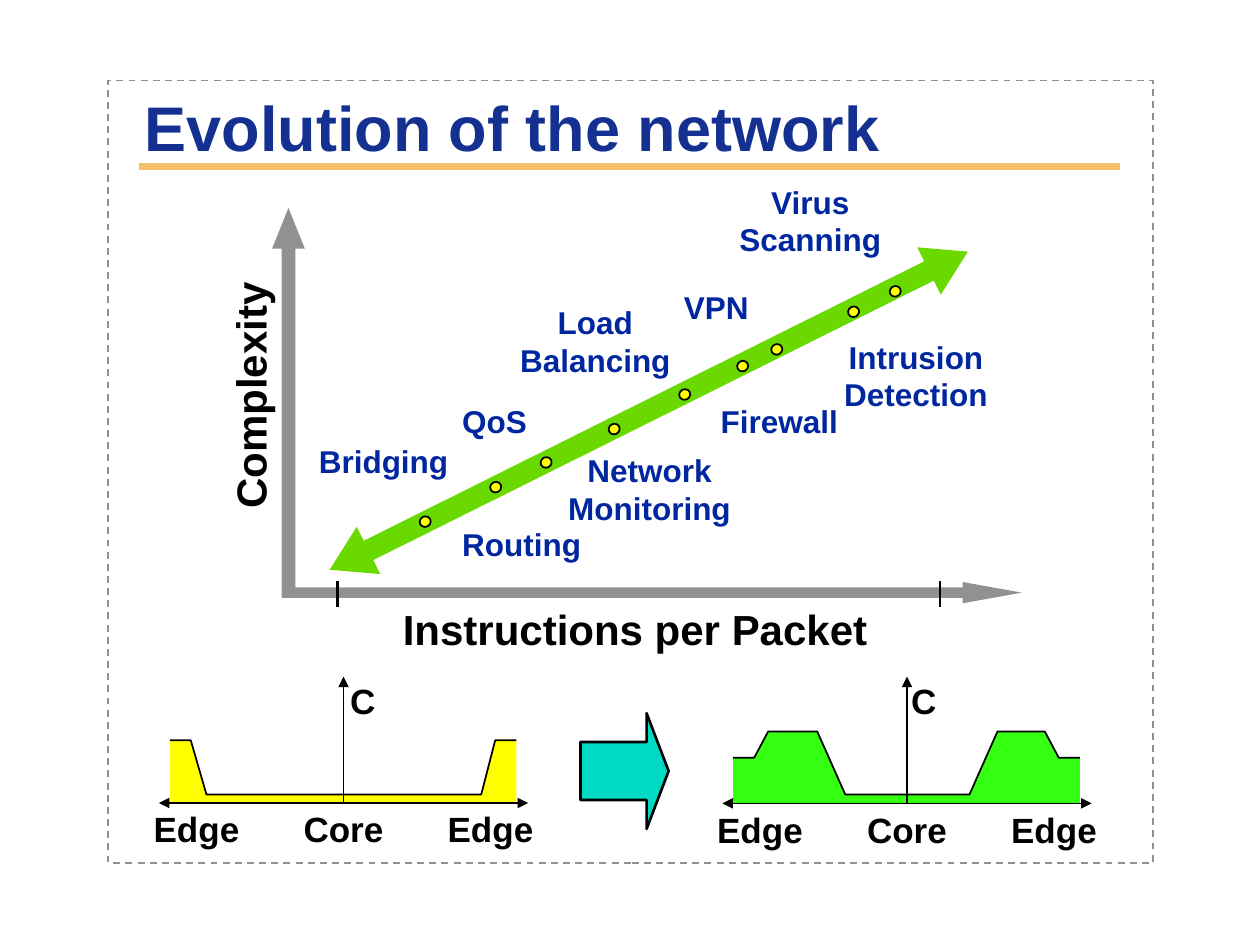
from lxml import etree
from pptx import Presentation
from pptx import util as u
from pptx.dml.color import RGBColor
from pptx.enum import dml, shapes, text
from pptx.oxml import ns

Pt = u.Pt
GREY, NAVY, BLACK, YELLOW = "919191", "00279F", "000000", "FFFF00"
LABELS = [
    (("Virus", "Scanning"), 308, 0.8),
    (("Bridging",), 64.2, 149.1),
    (("Routing",), 143.1, 196.6),
    (("QoS",), 127.6, 126.1),
    (("Network", "Monitoring"), 216.2, 154.2),
    (("Firewall",), 290.3, 126.1),
    (("VPN",), 254.3, 61.3),
    (("Intrusion", "Detection"), 368.4, 89.4),
    (("Load", "Balancing"), 185.2, 69.9),
]
SERVICE_XS = [88, 128.3, 157.1, 196, 236.3, 269.4, 288.9, 332.8, 356.6]
OLD_PROFILE = [(99, 36), (87, 36), (78.5, 5), (0, 5)]
NEW_PROFILE = [(99, 25.9), (87, 25.9), (79, 41.6), (51.5, 41.6), (35.5, 5), (0, 5)]


def colour(value):
    return RGBColor.from_string(value)


def paint(part, fill=None, line=None, width=1):
    part.shadow.inherit = False
    if fill:
        part.fill.solid()
        part.fill.fore_color.rgb = colour(fill)
    else:
        part.fill.background()
    if line:
        part.line.color.rgb = colour(line)
        part.line.width = Pt(width)
    else:
        part.line.fill.background()


def add_preset(slide, kind, box, fill=None, line=None, width=1, adjust=(), turn=0):
    part = slide.shapes.add_shape(kind, *map(Pt, box))
    for index, value in enumerate(adjust):
        part.adjustments[index] = value
    part.rotation = turn
    paint(part, fill, line, width)
    return part


def add_line(slide, start, end, value=BLACK, width=1, arrows=()):
    line = slide.shapes.add_connector(
        shapes.MSO_CONNECTOR.STRAIGHT, *map(Pt, (*start, *end)))
    line.line.color.rgb = colour(value)
    line.line.width = Pt(width)
    for end_name in arrows:
        etree.SubElement(line.line._get_or_add_ln(), ns.qn(f"a:{end_name}"), type="triangle")
    etree.SubElement(line._element.spPr, ns.qn("a:effectLst"))


def add_path(slide, points, fill=None, line=None):
    builder = slide.shapes.build_freeform(*points[0], scale=Pt(1))
    builder.add_line_segments(points[1:], close=bool(fill))
    paint(builder.convert_to_shape(), fill, line)


def add_text(slide, lines, box, size, value, align=text.PP_ALIGN.CENTER,
             indent=7.2, turn=0):
    holder = slide.shapes.add_textbox(*map(Pt, box))
    holder.rotation = turn
    frame = holder.text_frame
    settings = {
        "word_wrap": False,
        "margin_left": Pt(indent),
        "margin_right": Pt(7.2),
        "margin_top": Pt(3.6),
        "margin_bottom": 0,
        "vertical_anchor": text.MSO_ANCHOR.TOP,
    }
    for name, setting in settings.items():
        setattr(frame, name, setting)
    for index, words in enumerate(lines):
        paragraph = frame.paragraphs[0] if index == 0 else frame.add_paragraph()
        paragraph.text = words
        paragraph.alignment = align
        paragraph.line_spacing = Pt(1.2 * size)
        for name, setting in {"name": "Arial", "size": Pt(size), "bold": True}.items():
            setattr(paragraph.font, name, setting)
        paragraph.font.color.rgb = colour(value)


def add_label(slide, lines, centre, top, size, value=BLACK, width=120, turn=0):
    height = 7.2 + 1.2 * size * len(lines)
    add_text(slide, lines, (centre - width / 2, top, width, height), size, value, turn=turn)


def add_heading(slide, left, top, width, height):
    border = add_preset(slide, shapes.MSO_SHAPE.RECTANGLE,
                        (left, top, width, height), line=GREY)
    border.line.dash_style = dml.MSO_LINE.DASH
    add_line(slide, (left + 17.5, top + 49), (left + 578, top + 49), "F6BF69", 4)
    add_text(slide, ["Evolution of the network"], (left + 4.3, top + 0.8, 588, 66),
             36, "143192", text.PP_ALIGN.LEFT, 16.6)


def add_complexity_plot(slide, left, top):
    kinds = shapes.MSO_SHAPE
    arrows = [
        (kinds.UP_ARROW, (0.5, 18.8, 18.7, 222.5), (0.417, 1.244), GREY, 0),
        (kinds.RIGHT_ARROW, (6.3, 232.6, 422.6, 12.2), (0.5, 2.772), GREY, 0),
        (kinds.LEFT_RIGHT_ARROW, (12, 119.6, 407.5, 30.2), (0.408, 0.822), "69D900", -26.5),
    ]
    for kind, (x, y, width, height), adjust, fill, turn in arrows:
        add_preset(slide, kind, (left + x, top + y, width, height), fill,
                   adjust=adjust, turn=turn)
    for lines, centre, y in LABELS:
        add_label(slide, lines, left + centre, top + y, 18, NAVY)
    for x in SERVICE_XS:
        y = 198.1 - 0.49 * (x - SERVICE_XS[0])
        add_preset(slide, kinds.OVAL, (left + x - 3.2, top + y - 3, 6.4, 6),
                   YELLOW, BLACK, turn=-26.2)
    for x in (38, 382.1):
        add_line(slide, (left + x, top + 232.2), (left + x, top + 246.6), width=1.5)
    add_label(slide, ["Instructions per Packet"], left + 207.9, top + 241.3, 24, width=300)
    add_label(slide, ["Complexity"], left - 12.1, top + 108.1, 24, width=180, turn=270)


def add_profile_panel(slide, left, top, width, height, profile, fill, c_offset):
    centre, base = left + width / 2, top + height
    for side in (-1, 1):
        outline = [(centre + side * x, base - y) for x, y in profile]
        floor = [(centre, base), (centre + side * profile[0][0], base)]
        add_path(slide, outline + floor, fill=fill)
        add_path(slide, outline, line=BLACK)
    add_line(slide, (centre, top), (centre, base), arrows=["headEnd"])
    add_line(slide, (left, base), (left + width, base), arrows=["headEnd", "tailEnd"])
    for words, offset in (("Edge", -84), ("Core", 0), ("Edge", 84)):
        add_label(slide, [words], centre + offset, base - 0.8, 20, width=80)
    add_label(slide, ["C"], centre + c_offset, top - 1.8, 20, width=40)


def main():
    deck = Presentation()
    deck.slide_width, deck.slide_height = Pt(720), Pt(540)
    slide = deck.slides.add_slide(deck.slide_layouts[6])
    add_heading(slide, 61.9, 46, 597, 447)
    add_complexity_plot(slide, 155, 100)
    add_profile_panel(slide, 90.8, 386.7, 211, 72.2, OLD_PROFILE, YELLOW, 11)
    add_profile_panel(slide, 412.8, 386.7, 211, 72.4, NEW_PROFILE, "35FF13", 9.6)
    add_preset(slide, shapes.MSO_SHAPE.RIGHT_ARROW, (331.7, 407.5, 50.4, 66.2),
               "00D9C3", BLACK, 1.5, (0.5, 0.25))
    deck.save("out.pptx")


if __name__ == "__main__":
    main()
